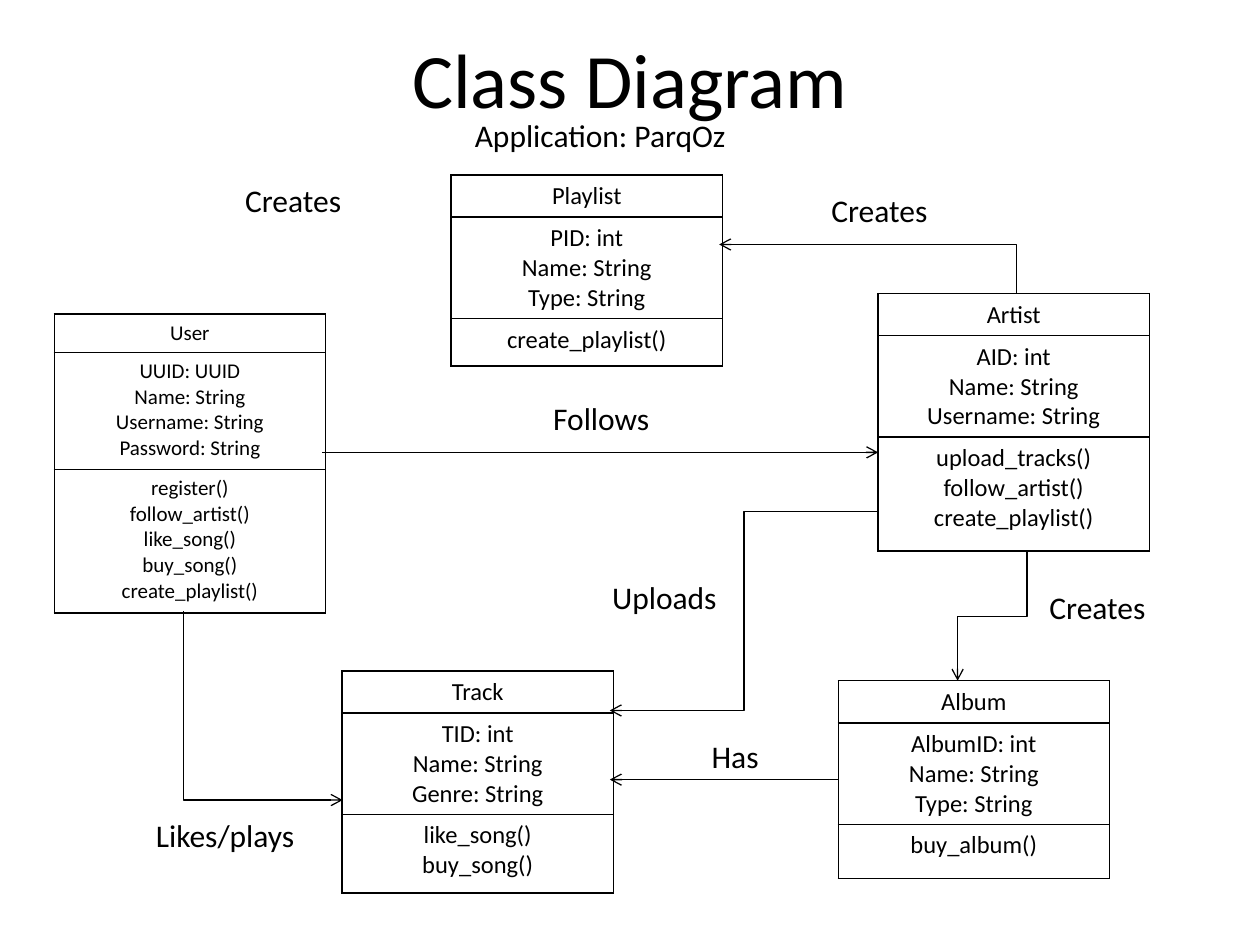
import pptx
import pptx.dml.color
import pptx.enum.shapes
import pptx.enum.text
import pptx.oxml
import pptx.oxml.ns
import pptx.util
from dataclasses import dataclass
from lxml import etree

Pt = pptx.util.Pt
qn = pptx.oxml.ns.qn
Align = pptx.enum.text.PP_ALIGN
Link = pptx.enum.shapes.MSO_CONNECTOR


@dataclass
class Theme:
    font: str = "Calibri"
    ink: str = "000000"
    title: int = 44
    label: int = 18
    cell: int = 14
    small: int = 12
    line: float = 0.75
    grid: float = 1


class Board:
    """Draws class boxes, labels and links on one slide in one style."""

    def __init__(self, slide, theme):
        self.slide = slide
        self.theme = theme
        self.ink = pptx.dml.color.RGBColor.from_string(theme.ink)

    def style(self, frame, size, align):
        for para in frame.paragraphs:
            para.alignment = align
            for run in para.runs:
                run.font.name = self.theme.font
                run.font.size = Pt(size)
                run.font.color.rgb = self.ink

    def title(self, text, left, top, width, height):
        shape = self.slide.shapes.title
        shape.left, shape.top = Pt(left), Pt(top)
        shape.width, shape.height = Pt(width), Pt(height)
        shape.text_frame.text = text
        shape.text_frame.vertical_anchor = pptx.enum.text.MSO_ANCHOR.MIDDLE
        self.style(shape.text_frame, self.theme.title, Align.CENTER)

    def label(self, text, left, top, width, align=Align.LEFT):
        shape = self.slide.shapes.add_textbox(Pt(left), Pt(top), Pt(width), Pt(29))
        frame = shape.text_frame
        frame.text = text
        frame.word_wrap = False
        frame.auto_size = pptx.enum.text.MSO_AUTO_SIZE.SHAPE_TO_FIT_TEXT
        self.style(frame, self.theme.label, align)

    def edge(self, cell):
        props = cell._tc.get_or_add_tcPr()
        for side in ("lnL", "lnR", "lnT", "lnB"):
            line = etree.SubElement(props, qn("a:" + side), w=str(Pt(self.theme.grid)))
            fill = etree.SubElement(line, qn("a:solidFill"))
            etree.SubElement(fill, qn("a:srgbClr"), val=self.theme.ink)

    def box(self, left, top, parts, rows, size):
        frame = self.slide.shapes.add_table(
            len(parts), 1, Pt(left), Pt(top), Pt(155), Pt(sum(rows)))
        table = frame.table
        table.first_row = table.horz_banding = False
        for row, height, lines in zip(table.rows, rows, parts):
            row.height = Pt(height)
            cell = row.cells[0]
            cell.text_frame.text = "\n".join(lines)
            self.style(cell.text_frame, size, Align.CENTER)
            self.edge(cell)
            cell.fill.background()
        return frame

    def link(self, kind, start, end):
        line = self.slide.shapes.add_connector(kind, *map(Pt, start + end))
        line.line.color.rgb = self.ink
        line.line.width = Pt(self.theme.line)
        etree.SubElement(line.line._get_or_add_ln(), qn("a:tailEnd"), type="arrow")
        etree.SubElement(line._element.spPr, qn("a:effectLst"))
        return line

    def arrow(self, start, end):
        return self.link(Link.STRAIGHT, start, end)

    def elbow(self, start, end, bend, down=False):
        if down:
            (x1, y1), (x2, y2) = start, end
            midx, midy = (x1 + x2) / 2, (y1 + y2) / 2
            long, wide = (y2 - y1) / 2, (x1 - x2) / 2
            start, end = (midx - long, midy - wide), (midx + long, midy + wide)
        line = self.link(Link.ELBOW, start, end)
        props = line._element.spPr
        if down:
            props.find(qn("a:xfrm")).set("rot", str(90 * 60000))
        guides = props.find(qn("a:prstGeom")).get_or_add_avLst()
        etree.SubElement(guides, qn("a:gd"), name="adj1", fmla=f"val {round(bend * 100000)}")


def main():
    deck = pptx.Presentation()
    deck.slide_width, deck.slide_height = Pt(720), Pt(540)
    slide = deck.slides.add_slide(deck.slide_layouts[0])
    blank = slide.placeholders[1]._element
    blank.getparent().remove(blank)
    theme = Theme()
    board = Board(slide, theme)

    board.title("Class Diagram", 54, 0, 612, 88.5)
    board.label("Application: ParqOz", 253, 62.6, 180, Align.CENTER)

    board.box(31, 179.3, (
        ["User"],
        ["UUID: UUID", "Name: String", "Username: String", "Password: String"],
        ["register()", "follow_artist()", "like_song()", "buy_song()", "create_playlist()"],
    ), (22, 67, 82), theme.small)

    boxes = {}
    for name, left, top, fields, calls, foot in (
        ("Playlist", 257.8, 100, ["PID: int", "Name: String", "Type: String"],
         ["create_playlist()"], 27),
        ("Artist", 501.8, 167.8, ["AID: int", "Name: String", "Username: String"],
         ["upload_tracks()", "follow_artist()", "create_playlist()"], 65),
        ("Track", 195.5, 383.3, ["TID: int", "Name: String", "Genre: String"],
         ["like_song()", "buy_song()"], 45),
        ("Album", 479, 389, ["AlbumID: int", "Name: String", "Type: String"],
         ["buy_album()"], 31),
    ):
        boxes[name] = board.box(left, top, ([name], fields, calls), (24, 58, foot), theme.cell)

    for text, left, top, width in (
        ("Creates", 133, 100, 70),
        ("Likes/plays", 82, 463, 94),
        ("Follows", 309, 224.7, 70),
        ("Creates", 468, 105.8, 70),
        ("Has", 399.6, 417.6, 42),
        ("Creates", 592.6, 332.6, 70),
        ("Uploads", 342.7, 327, 75),
    ):
        board.label(text, left, top, width)

    board.arrow((184.3, 258.5), (501.8, 258.5))
    has = board.arrow((479, 445.5), (348.5, 445.5))
    has.begin_connect(boxes["Album"], 1)

    board.elbow((105, 349.2), (195.8, 457.2), 1, down=True)
    board.elbow((586.8, 315.4), (547.2, 389), 0.5, down=True)
    board.elbow((581, 167.8), (411, 139.7), 0)
    board.elbow((501.8, 292.5), (348.5, 406), 0.5)
    deck.save("out.pptx")


if __name__ == "__main__":
    main()
